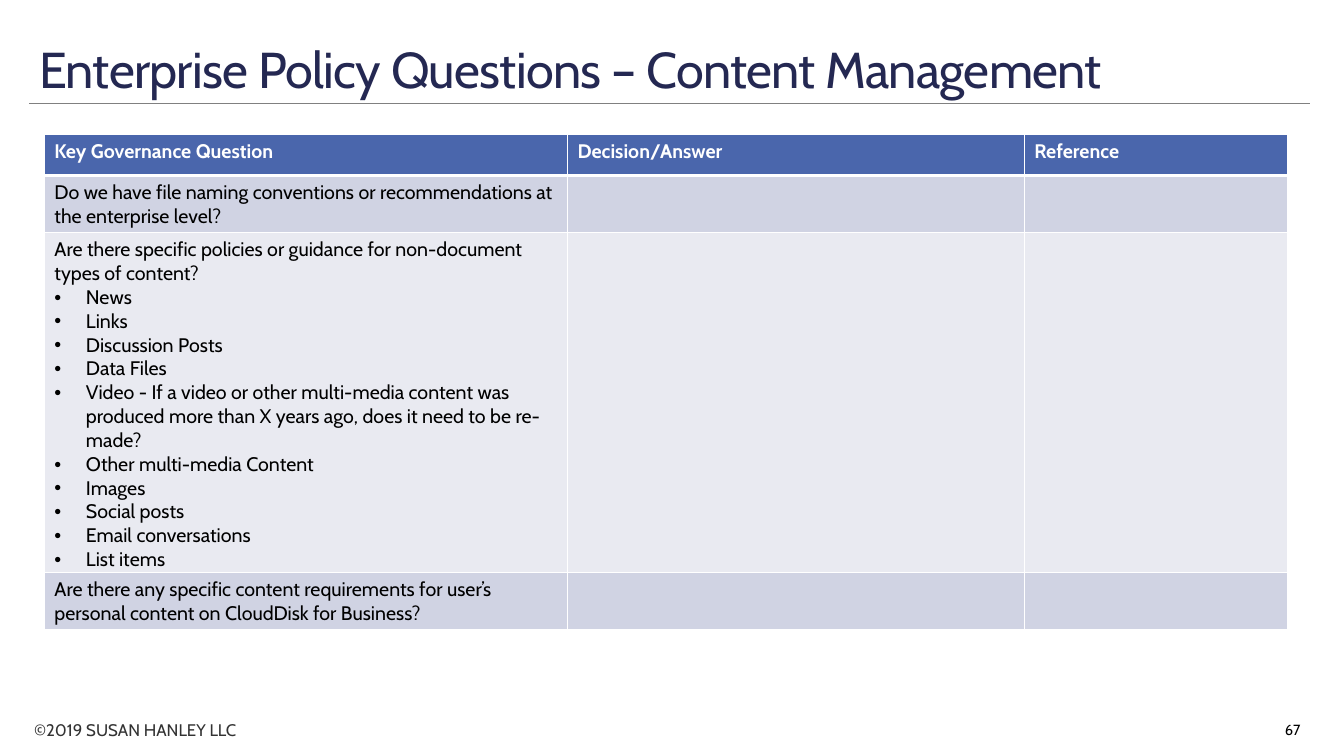
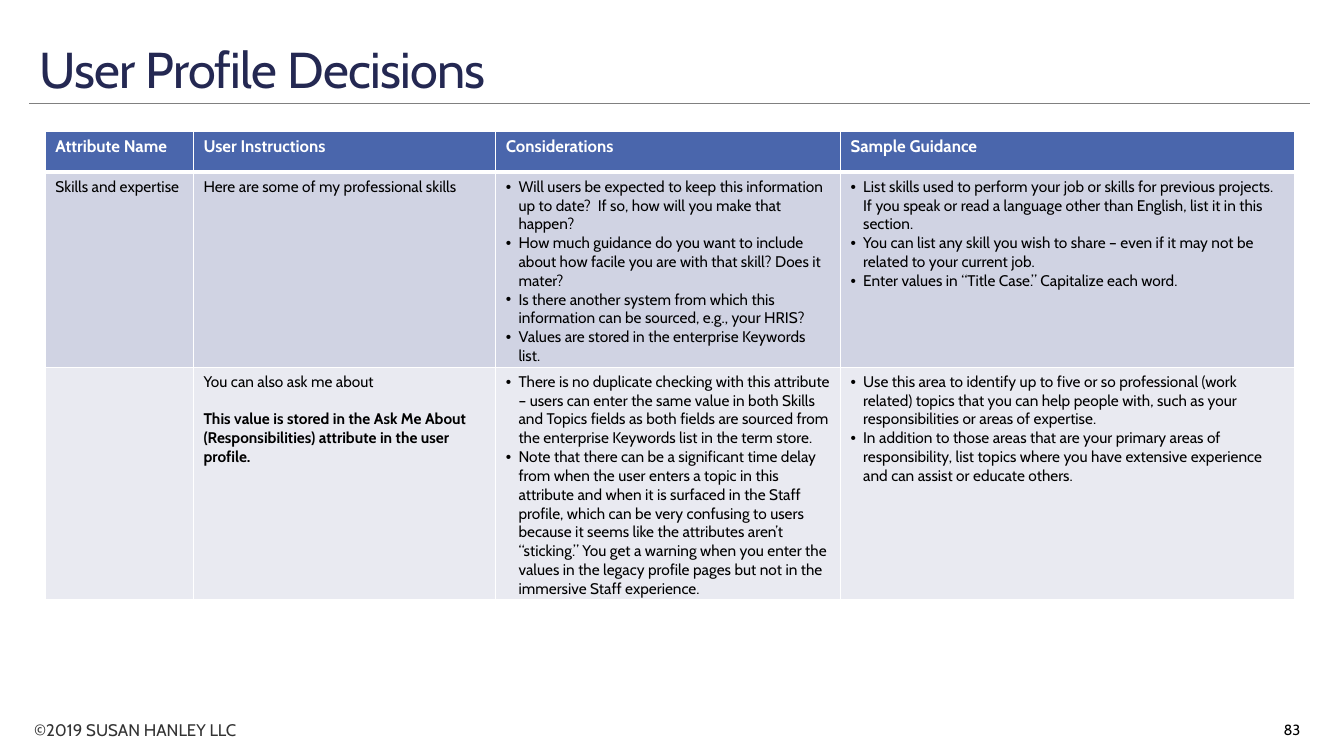
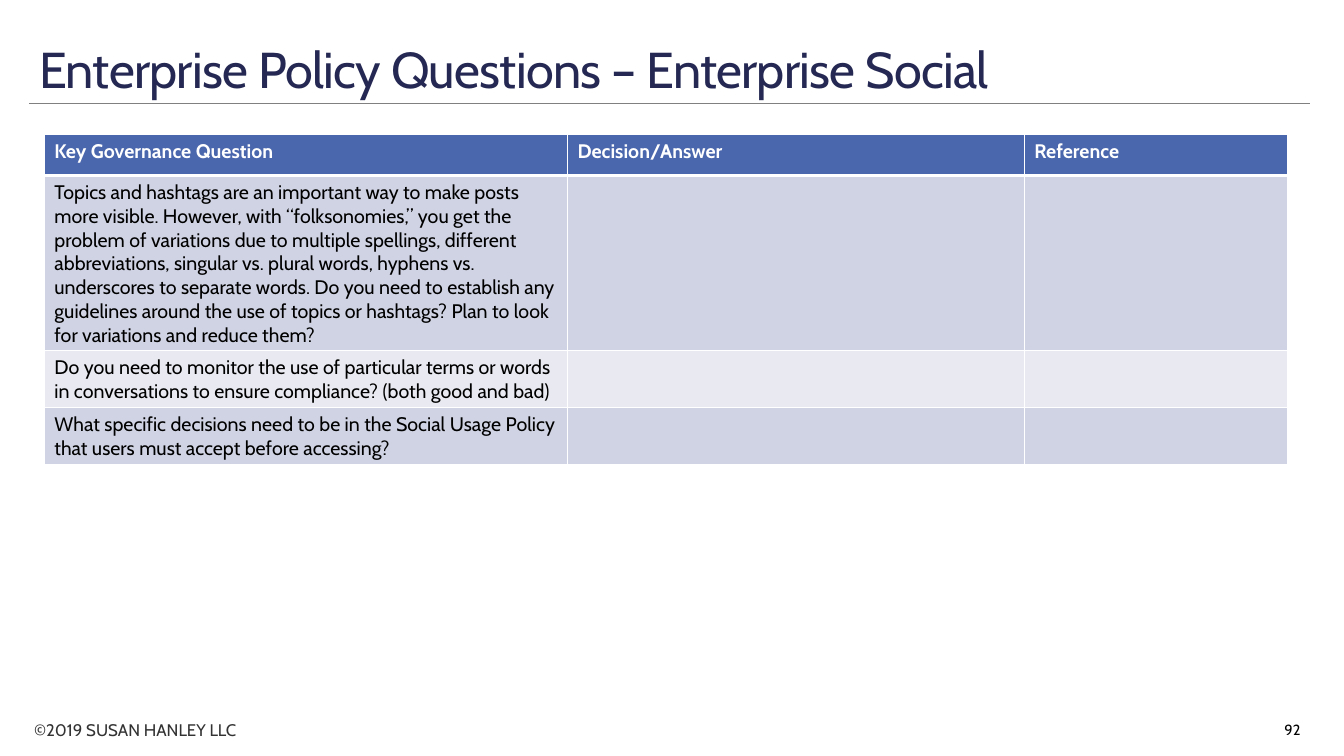
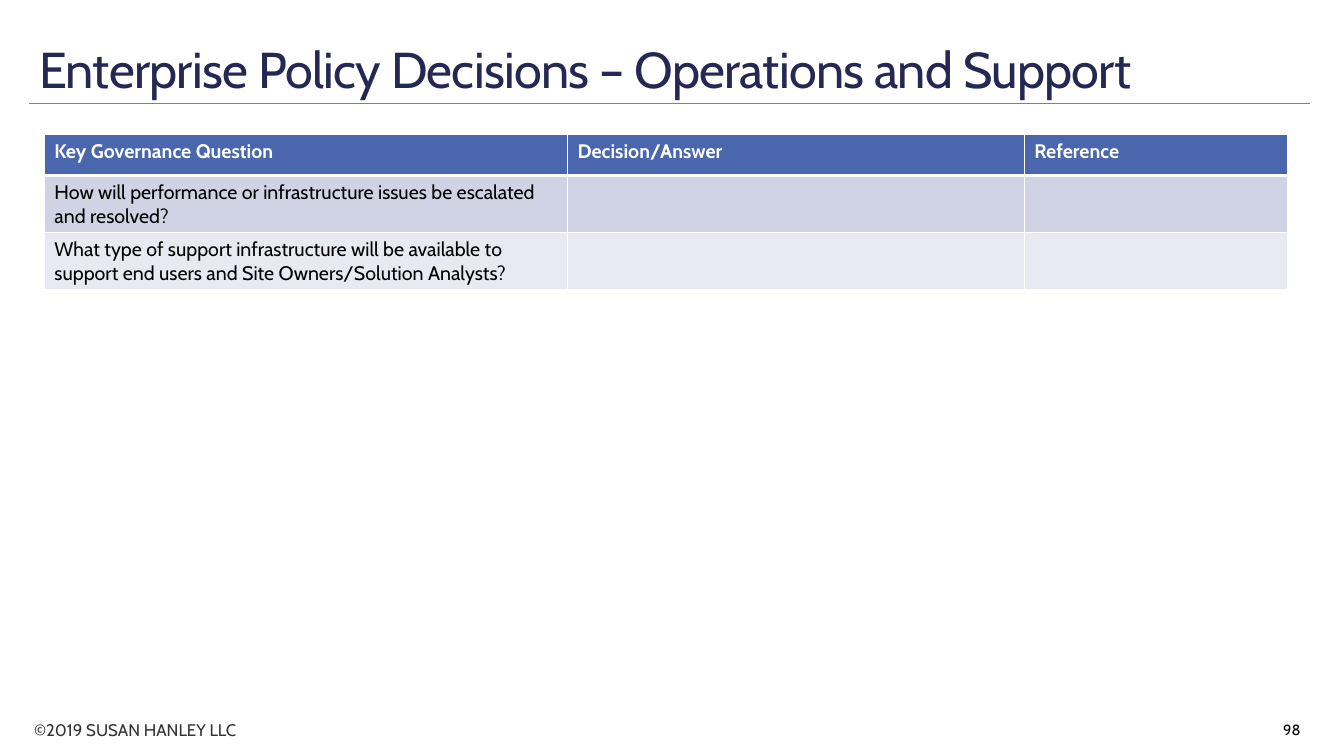
"""Build four governance decision slides that share one title, footer and table style."""
from dataclasses import dataclass
from typing import NamedTuple

from lxml.etree import SubElement
from pptx import Presentation
from pptx.dml.color import RGBColor as Color
from pptx.enum.shapes import MSO_CONNECTOR as Connector
from pptx.enum.text import MSO_ANCHOR as Anchor, MSO_AUTO_SIZE as AutoSize, PP_ALIGN as Align
from pptx.oxml.ns import qn
from pptx.util import Pt


@dataclass(frozen=True)
class Theme:
    font: str = "Cabin"
    title: str = "242852"
    rule: str = "808080"
    footer: str = "333333"
    text: str = "000000"
    white: str = "FFFFFF"
    header: str = "4A66AC"
    bands: tuple = ("D0D3E3", "E9EAF1")
    title_size: float = 36
    footer_size: float = 12
    number_size: float = 10.5


class Line(NamedTuple):
    text: str
    bullet: bool = False
    bold: bool = False
    before: float = 0


class TableStyle(NamedTuple):
    left: float
    top: float
    widths: tuple
    header_size: float
    body_size: float
    indent: float


QUESTIONS = TableStyle(31.7, 95.8, (373.7, 326.2, 187.9), 14, 14, 22.5)
PROFILE = TableStyle(32.4, 93.6, (105.8, 216, 246.2, 324), 12, 11, 9)
QUESTION_HEADINGS = ("Key Governance Question", "Decision/Answer", "Reference")
ROW_HEIGHT = 29.5


def bullets(*texts):
    return [Line(text, bullet=True) for text in texts]


class SlideBuilder:
    def __init__(self, deck, theme):
        self.deck = deck
        self.theme = theme
        self.page = None

    def start(self, title, number):
        theme = self.theme
        self.page = self.deck.slides.add_slide(self.deck.slide_layouts[6])
        self.rule(21, 936, 74.2)
        footer = self.text("©2019 SUSAN HANLEY LLC", (17.3, 510.5, 202.3, 21.6),
                           theme.footer_size, theme.footer)
        footer.text_frame.auto_size = AutoSize.SHAPE_TO_FIT_TEXT
        heading = self.text(title, (20.9, 13.7, 915.1, 60.5),
                            theme.title_size, theme.title, Anchor.BOTTOM)
        para = heading.text_frame.paragraphs[0]
        para.line_spacing = 0.85
        para.runs[0]._r.get_or_add_rPr().set("spc", "-50")
        page_number = self.text(str(number), (833, 506.9, 103, 28.8),
                                theme.number_size, theme.text, Anchor.MIDDLE)
        page_number.text_frame.paragraphs[0].alignment = Align.RIGHT

    def rule(self, left, right, top):
        line = self.page.shapes.add_connector(
            Connector.STRAIGHT, Pt(left), Pt(top), Pt(right), Pt(top))
        line.line.color.rgb = Color.from_string(self.theme.rule)
        line.line.width = Pt(0.5)
        SubElement(line._element.spPr, qn("a:effectLst"))

    def text(self, words, place, size, color, anchor=Anchor.TOP):
        box = self.page.shapes.add_textbox(*map(Pt, place))
        frame = box.text_frame
        frame.word_wrap = True
        frame.vertical_anchor = anchor
        para = frame.paragraphs[0]
        para.text = words
        self.set_font(para, size, color)
        return box

    def set_font(self, para, size, color, bold=False):
        font = para.font
        font.name = self.theme.font
        font.size = Pt(size)
        font.bold = bold
        font.color.rgb = Color.from_string(color)

    def table(self, style, headings, rows, height):
        grid = [[[Line(text, bold=True)] for text in headings], *rows]
        frame = self.page.shapes.add_table(
            len(grid), len(headings), Pt(style.left), Pt(style.top),
            Pt(sum(style.widths)), Pt(height))
        table = frame.table
        table.horz_banding = False
        for column, width in zip(table.columns, style.widths):
            column.width = Pt(width)
        for row_index, contents in enumerate(grid):
            table.rows[row_index].height = Pt(ROW_HEIGHT)
            for column_index in range(len(headings)):
                content = contents[column_index] if column_index < len(contents) else []
                self.cell(table.cell(row_index, column_index), content, style, row_index)
        frame.height = Pt(height)

    def cell(self, cell, content, style, row_index):
        theme = self.theme
        is_header = row_index == 0
        fill = theme.header if is_header else theme.bands[(row_index - 1) % 2]
        size = style.header_size if is_header else style.body_size
        color = theme.white if is_header else theme.text
        cell.fill.solid()
        cell.fill.fore_color.rgb = Color.from_string(fill)
        self.borders(cell, top=3 if row_index == 1 else 1, bottom=3 if is_header else 1)
        lines = [Line(content)] if isinstance(content, str) else content
        for index, line in enumerate(lines):
            frame = cell.text_frame
            para = frame.add_paragraph() if index else frame.paragraphs[0]
            para.text = line.text
            if line.bullet:
                self.bullet(para, style.indent)
            if line.before:
                para.space_before = Pt(line.before)
            self.set_font(para, size, color, line.bold)

    def bullet(self, para, indent):
        properties = para._p.get_or_add_pPr()
        properties.set("marL", str(Pt(indent)))
        properties.set("indent", str(-Pt(indent)))
        SubElement(properties, qn("a:buFont"), typeface="Arial")
        SubElement(properties, qn("a:buChar"), char="•")

    def borders(self, cell, top, bottom):
        properties = cell._tc.get_or_add_tcPr()
        sides = (("a:lnL", 1), ("a:lnR", 1), ("a:lnT", top), ("a:lnB", bottom))
        for index, (tag, width) in enumerate(sides):
            edge = SubElement(properties, qn(tag), w=str(Pt(width)))
            fill = SubElement(edge, qn("a:solidFill"))
            SubElement(fill, qn("a:srgbClr"), val=self.theme.white)
            properties.insert(index, edge)


def main():
    deck = Presentation()
    deck.slide_width, deck.slide_height = Pt(960), Pt(540)
    slides = SlideBuilder(deck, Theme())

    slides.start("Enterprise Policy Questions – Content Management", 67)
    slides.table(QUESTIONS, QUESTION_HEADINGS, [
        ["Do we have file naming conventions or recommendations at the enterprise level?"],
        [[Line("Are there specific policies or guidance for non-document types of content?"),
          *bullets(
              "News", "Links", "Discussion Posts", "Data Files",
              "Video - If a video or other multi-media content was produced more than "
              "X years ago, does it need to be re-made?",
              "Other multi-media Content", "Images", "Social posts",
              "Email conversations", "List items")]],
        ["Are there any specific content requirements for user’s personal content on "
         "CloudDisk for Business?"],
    ], 353.5)

    slides.start("User Profile Decisions", 83)
    slides.table(PROFILE, (
        "Attribute Name", "User Instructions", "Considerations", "Sample Guidance"), [
        ["Skills and expertise",
         "Here are some of my professional skills",
         bullets(
             "Will users be expected to keep this information up to date?  If so, how will "
             "you make that happen?",
             "How much guidance do you want to include about how facile you are with that "
             "skill? Does it mater?",
             "Is there another system from which this information can be sourced, e.g., "
             "your HRIS?",
             "Values are stored in the enterprise Keywords list."),
         bullets(
             "List skills used to perform your job or skills for previous projects. If you "
             "speak or read a language other than English, list it in this section.",
             "You can list any skill you wish to share – even if it may not be related to "
             "your current job.",
             "Enter values in “Title Case.” Capitalize each word.")],
        ["",
         [Line("You can also ask me about"),
          Line("This value is stored in the Ask Me About (Responsibilities) attribute in "
               "the user profile.", bold=True, before=13.4)],
         bullets(
             "There is no duplicate checking with this attribute – users can enter the same "
             "value in both Skills and Topics fields as both fields are sourced from the "
             "enterprise Keywords list in the term store.",
             "Note that there can be a significant time delay from when the user enters a "
             "topic in this attribute and when it is surfaced in the Staff profile, which "
             "can be very confusing to users because it seems like the attributes aren’t "
             "“sticking.” You get a warning when you enter the values in the legacy profile "
             "pages but not in the immersive Staff experience."),
         bullets(
             "Use this area to identify up to five or so professional (work related) topics "
             "that you can help people with, such as your responsibilities or areas of "
             "expertise.",
             "In addition to those areas that are your primary areas of responsibility, list "
             "topics where you have extensive experience and can assist or educate others.")],
    ], 347)

    slides.start("Enterprise Policy Questions – Enterprise Social", 92)
    slides.table(QUESTIONS, QUESTION_HEADINGS, [
        ["Topics and hashtags are an important way to make posts more visible. However, with "
         "“folksonomies,” you get the problem of variations due to multiple spellings, "
         "different abbreviations, singular vs. plural words, hyphens vs. underscores to "
         "separate words. Do you need to establish any guidelines around the use of topics "
         "or hashtags? Plan to look for variations and reduce them?"],
        ["Do you need to monitor the use of particular terms or words in conversations to "
         "ensure compliance? (both good and bad)"],
        ["What specific decisions need to be in the Social Usage Policy that users must "
         "accept before accessing?"],
    ], 252.7)

    slides.start("Enterprise Policy Decisions – Operations and Support", 98)
    slides.table(QUESTIONS, QUESTION_HEADINGS, [
        ["How will performance or infrastructure issues be escalated and resolved?"],
        ["What type of support infrastructure will be available to support end users and "
         "Site Owners/Solution Analysts?"],
    ], 110.9)

    deck.save("out.pptx")


if __name__ == "__main__":
    main()
